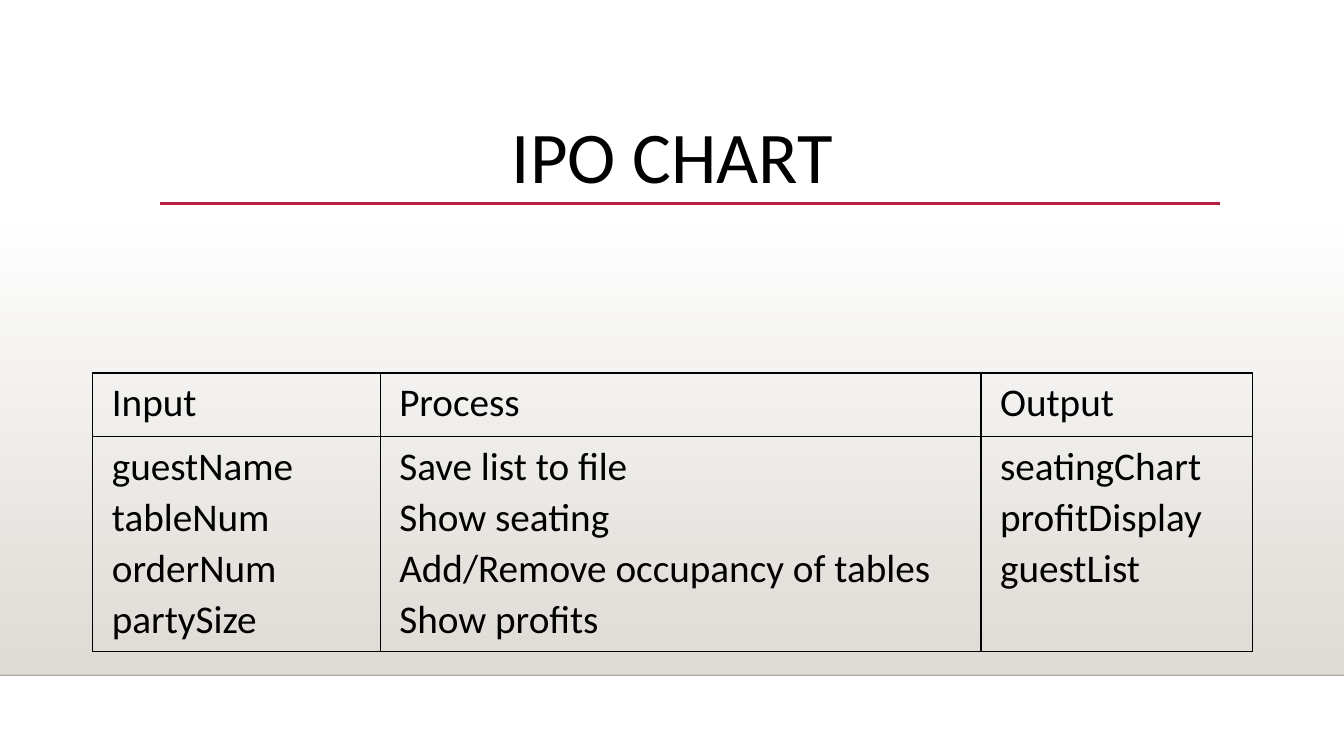
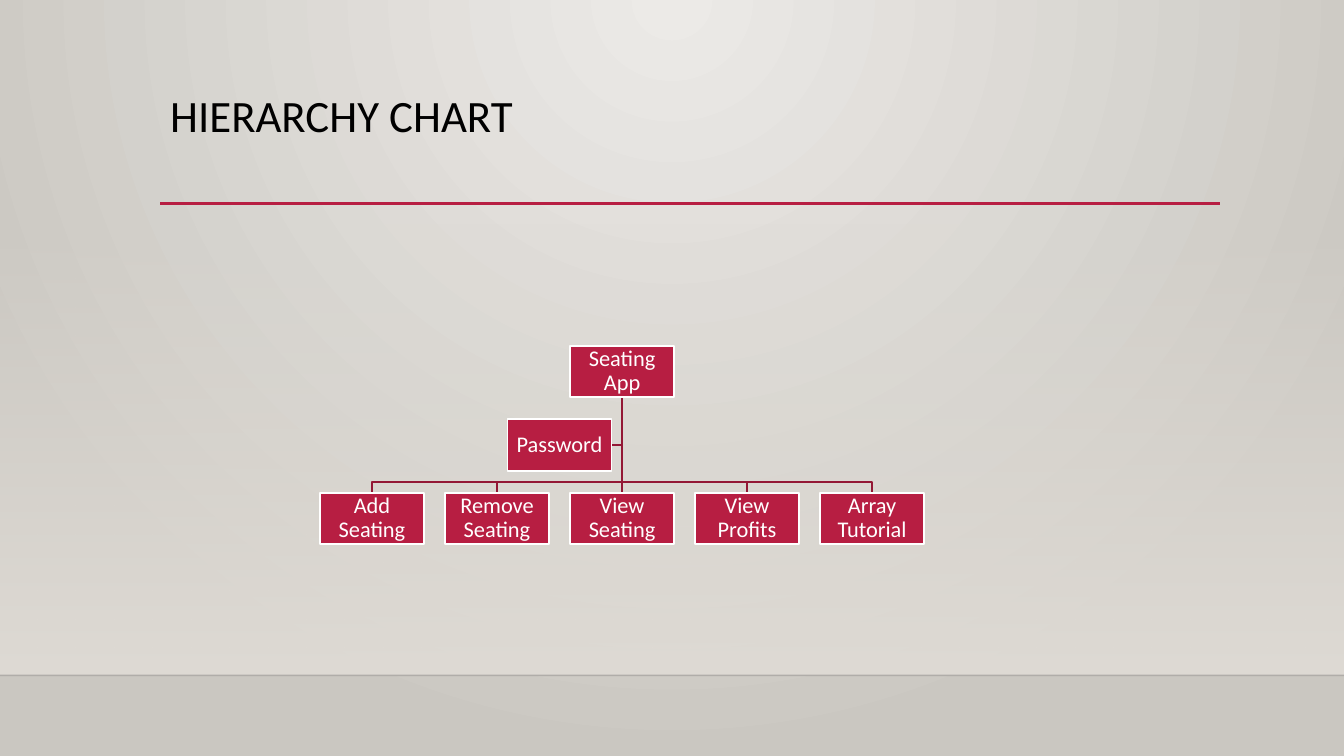
"""Builds a two-slide deck with an IPO table and a hierarchy chart."""
from lxml.etree import SubElement
from pptx import Presentation
from pptx.dml.color import RGBColor
from pptx.enum.shapes import MSO_CONNECTOR as Connector, MSO_SHAPE as Shape
from pptx.enum.text import MSO_ANCHOR as Anchor, PP_ALIGN as Align
from pptx.oxml.ns import qn
from pptx.util import Inches, Pt

WIDTH, HEIGHT = 13.33, 7.5
FONT = "Calibri"
COLORS = {
    "paper": "FFFFFF", "ink": "000000", "accent": "B71E42", "wire": "931835",
    "sand": "DFDBD5", "glow": "ECEAE7", "stone": "CAC7C1", "floor": "000001",
}


def rgb(name):
    return RGBColor.from_string(COLORS[name])


def set_alpha(element, percent):
    color = next(element.iter(qn("a:srgbClr")))
    SubElement(color, qn("a:alpha"), val=str(percent * 1000))


class Deck:
    def __init__(self):
        self.deck = Presentation()
        self.deck.slide_width, self.deck.slide_height = Inches(WIDTH), Inches(HEIGHT)
        self.page = None

    def add_page(self, radial=False):
        self.page = self.deck.slides.add_slide(self.deck.slide_layouts[6])
        fill = self.page.background.fill
        if radial:
            gradient = self.blend(fill, self.page.element, "glow", "stone")
            gradient.remove(gradient.find(qn("a:lin")))
            circle = SubElement(gradient, qn("a:path"), {"path": "circle"})
            SubElement(circle, qn("a:fillToRect"), l="43000", t="0", r="43000", b="100000")
        else:
            fill.solid()
            fill.fore_color.rgb = rgb("paper")
        self.band(2.21, 4.49)
        floor = self.rule(0, 6.7, WIDTH, 6.7, "floor", 1)
        set_alpha(floor.element, 20)
        self.rule(1.59, 2.02, 12.1, 2.02, "accent", 2.5)

    def blend(self, fill, element, first, last):
        fill.gradient()
        fill.gradient_angle = 270
        for stop, name in zip(fill.gradient_stops, (first, last)):
            stop.color.rgb = rgb(name)
        return next(element.iter(qn("a:gradFill")))

    def band(self, top, height):
        band = self.page.shapes.add_shape(
            Shape.RECTANGLE, 0, Inches(top), Inches(WIDTH), Inches(height))
        band.shadow.inherit = False
        band.line.fill.background()
        set_alpha(self.blend(band.fill, band.element, "sand", "sand"), 0)

    def rule(self, x1, y1, x2, y2, color, weight):
        rule = self.page.shapes.add_connector(
            Connector.STRAIGHT, Inches(x1), Inches(y1), Inches(x2), Inches(y2))
        self.stroke(rule.line, color, weight)
        SubElement(rule.element.spPr, qn("a:effectLst"))
        return rule

    def stroke(self, line, color, weight):
        line.color.rgb = rgb(color)
        line.width = Pt(weight)

    def put_text(self, frame, text, size, color, spacing, align=Align.LEFT):
        frame.text = text
        frame.word_wrap = True
        for para in frame.paragraphs:
            para.alignment, para.line_spacing = align, spacing
            for span in para.runs:
                span.font.name, span.font.size = FONT, Pt(size)
                span.font.color.rgb = rgb(color)

    def title(self, text, left, top, width, height, size, align, anchor):
        box = self.page.shapes.add_textbox(
            Inches(left), Inches(top), Inches(width), Inches(height))
        self.put_text(box.text_frame, text, size, "ink", 0.9, align)
        box.text_frame.vertical_anchor = anchor

    def table(self, left, top, widths, heights, rows):
        table = self.page.shapes.add_table(
            len(rows), len(widths), Inches(left), Inches(top),
            Inches(sum(widths)), Inches(sum(heights))).table
        table.first_row = table.horz_banding = False
        for column, width in zip(table.columns, widths):
            column.width = Inches(width)
        for row, height, texts in zip(table.rows, heights, rows):
            row.height = Inches(height)
            for cell, text in zip(row.cells, texts):
                self.cell(cell, text)

    def cell(self, cell, text):
        self.put_text(cell.text_frame, text, 28, "ink", 1.07)
        cell.margin_left = cell.margin_right = Inches(0.19)
        cell.margin_top, cell.margin_bottom = Inches(0.03), 0
        props = cell._tc.get_or_add_tcPr()
        for side in ("lnL", "lnR", "lnT", "lnB"):
            border = SubElement(props, qn(f"a:{side}"), w=str(Pt(1)))
            fill = SubElement(border, qn("a:solidFill"))
            SubElement(fill, qn("a:srgbClr"), val=COLORS["ink"])
        cell.fill.background()
        props.append(props.find(qn("a:noFill")))

    def wire(self, *points):
        start, *rest = [(Inches(x), Inches(y)) for x, y in points]
        builder = self.page.shapes.build_freeform(*start)
        builder.add_line_segments(rest, close=False)
        wire = builder.convert_to_shape()
        wire.shadow.inherit = False
        wire.fill.background()
        self.stroke(wire.line, "wire", 1.25)

    def node(self, text, center, top, width, height):
        node = self.page.shapes.add_shape(
            Shape.RECTANGLE, Inches(center - width / 2), Inches(top),
            Inches(width), Inches(height))
        node.shadow.inherit = False
        node.fill.solid()
        node.fill.fore_color.rgb = rgb("accent")
        self.stroke(node.line, "paper", 1.25)
        frame = node.text_frame
        self.put_text(frame, text, 16, "paper", 0.9, Align.CENTER)
        frame.vertical_anchor = Anchor.MIDDLE
        frame.margin_left = frame.margin_right = Inches(0.01)
        frame.margin_top = frame.margin_bottom = Inches(0.01)

    def hierarchy(self, root, assistant, children):
        width, height, step = 1.03, 0.51, 1.24
        middle, root_top, side_top, child_top = 6.17, 3.43, 4.16, 4.89
        start, bus = root_top + height, child_top - 0.11
        side_center, side_middle = middle - step / 2, side_top + height / 2
        offset = (len(children) - 1) / 2
        centers = [middle + (i - offset) * step for i in range(len(children))]
        self.wire((middle, start), (middle, side_middle),
                  (side_center + width / 2, side_middle))
        for center in reversed(centers):
            if center == middle:
                self.rule(middle, start, middle, child_top, "wire", 1.25)
            else:
                self.wire((middle, start), (middle, bus), (center, bus), (center, child_top))
        self.node(root, middle, root_top, width, height)
        for center, child in zip(centers, children):
            self.node(child, center, child_top, width, height)
        self.node(assistant, side_center, side_top, width, height)


def main():
    deck = Deck()
    deck.add_page()
    deck.title("IPO CHART", 0.92, 0.61, 11.5, 1.42, 52, Align.CENTER, Anchor.BOTTOM)
    deck.table(0.92, 3.7, (2.85, 5.96, 2.69), (0.63, 2.13), (
        ("Input", "Process", "Output"),
        ("guestName\ntableNum\norderNum\npartySize",
         "Save list to file\nShow seating\nAdd/Remove occupancy of tables\nShow profits",
         "seatingChart\nprofitDisplay\nguestList"),
    ))
    deck.add_page(radial=True)
    deck.title("HIERARCHY CHART", 1.59, 0.88, 10.5, 1.15, 32, Align.LEFT, Anchor.TOP)
    deck.hierarchy("Seating App", "Password", (
        "Add Seating", "Remove Seating", "View Seating", "View Profits", "Array Tutorial"))
    deck.deck.save("out.pptx")


if __name__ == "__main__":
    main()
